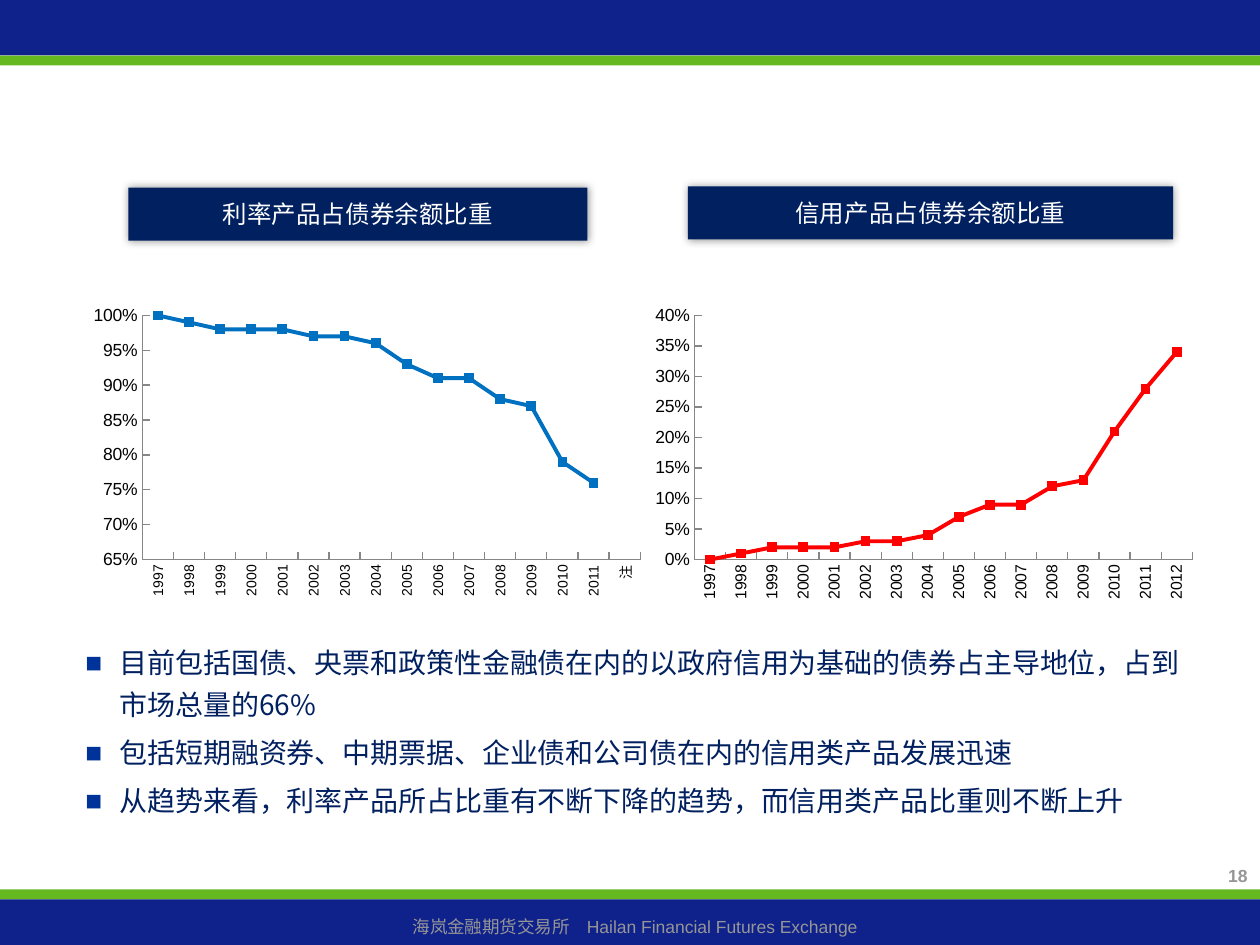
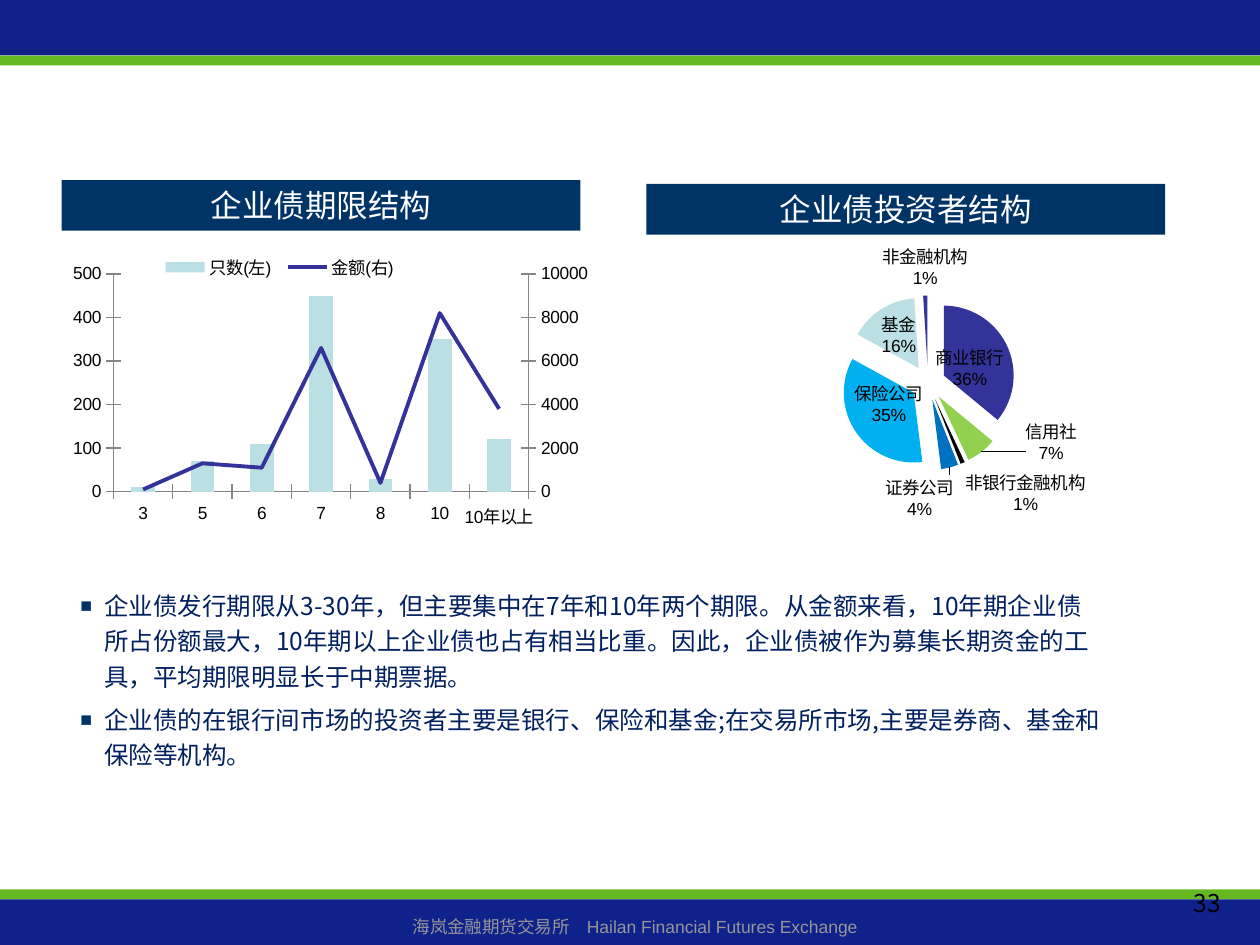
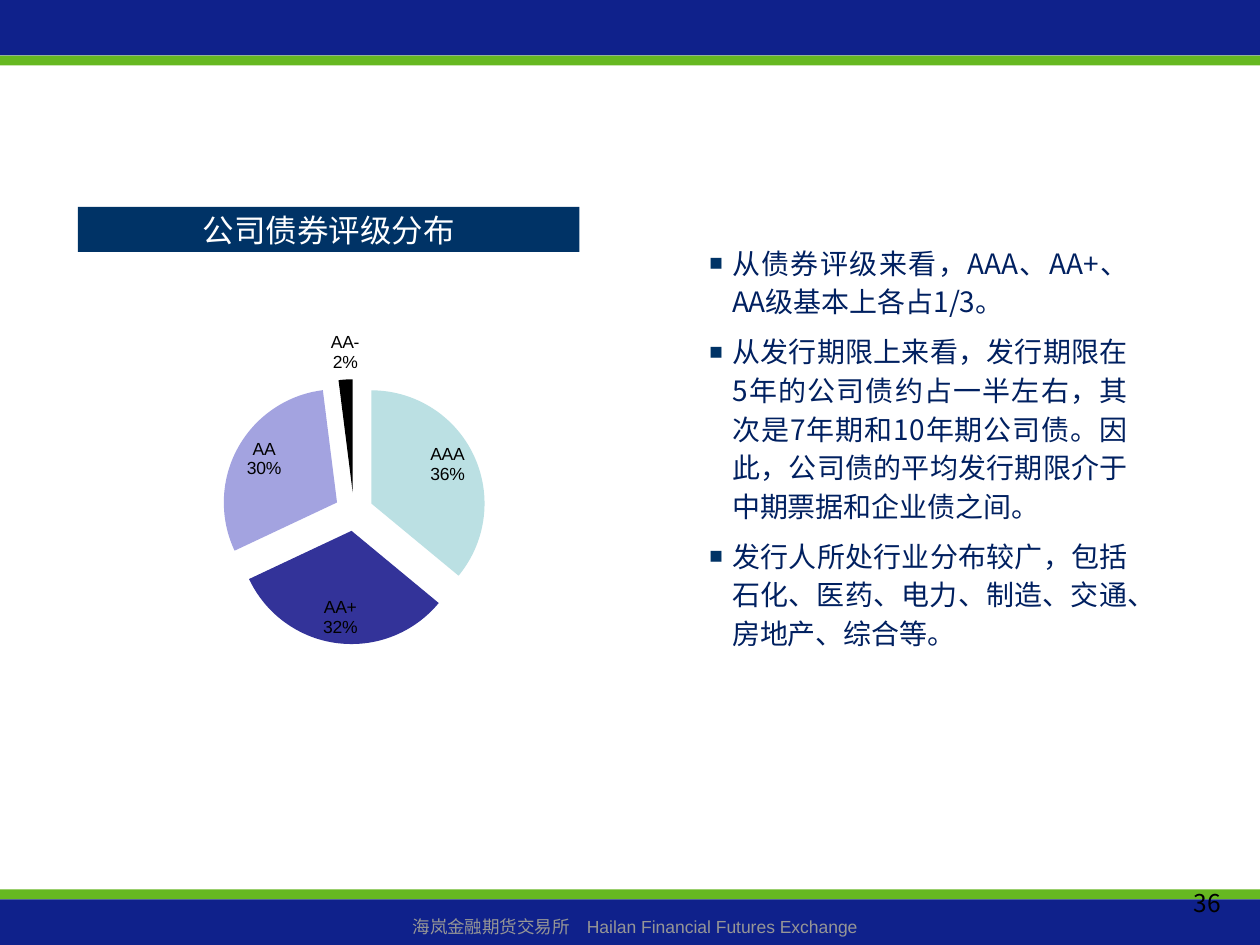
from pptx import Presentation
from pptx.chart.data import CategoryChartData as Data
from pptx.dml.color import RGBColor
from pptx.enum.chart import XL_CHART_TYPE as Kind
from pptx.enum.chart import XL_LABEL_POSITION as Spot
from pptx.enum.chart import XL_LEGEND_POSITION as Side
from pptx.enum.chart import XL_MARKER_STYLE as Mark
from pptx.enum.chart import XL_TICK_MARK as Tick
from pptx.enum.shapes import MSO_SHAPE as Form
from pptx.enum.text import MSO_ANCHOR as Anchor
from pptx.enum.text import MSO_AUTO_SIZE as Fit
from pptx.enum.text import PP_ALIGN as Align
from pptx.oxml import parse_xml
from pptx.oxml.ns import nsdecls, qn
from pptx.util import Cm, Pt

NAVY, GREEN, INK, STEEL = "0F218B", "66B821", "002060", "003366"
BLUE, GRAY, WHITE, BLACK = "003399", "969696", "FFFFFF", "000000"
AQUA, VIOLET, AXIS = "BBE0E3", "333399", "868686"
HAN, LATIN = "Noto Sans CJK SC", "Arial"

RIGHT = f"""<c:plotArea {nsdecls("c", "a")}>
<c:lineChart><c:grouping val="standard"/><c:varyColors val="0"/>
<c:marker val="1"/><c:axId val="11"/><c:axId val="12"/></c:lineChart>
<c:catAx><c:axId val="11"/><c:scaling><c:orientation val="minMax"/></c:scaling>
<c:delete val="1"/><c:axPos val="b"/><c:crossAx val="12"/></c:catAx>
<c:valAx><c:axId val="12"/><c:scaling><c:orientation val="minMax"/>
<c:max val="10000"/><c:min val="0"/></c:scaling>
<c:delete val="0"/><c:axPos val="r"/><c:numFmt formatCode="General" sourceLinked="0"/>
<c:majorTickMark val="cross"/><c:minorTickMark val="none"/><c:tickLblPos val="nextTo"/>
<c:spPr><a:ln><a:solidFill><a:srgbClr val="{AXIS}"/></a:solidFill></a:ln></c:spPr>
<c:crossAx val="11"/><c:crosses val="max"/><c:majorUnit val="2000"/></c:valAx>
</c:plotArea>"""


def tint(code):
    return RGBColor.from_string(code)


def put(item, values):
    for name, value in values.items():
        setattr(item, name, value)


def node(tag, inner="", **attrs):
    pairs = "".join(f' {key}="{value}"' for key, value in attrs.items())
    return parse_xml(f"<{tag} {nsdecls('a', 'c')}{pairs}>{inner}</{tag}>")


def place(parent, index, box, inner=False):
    for old in parent.findall(qn("c:layout")):
        parent.remove(old)
    target = '<c:layoutTarget val="inner"/>' if inner else ""
    modes = '<c:xMode val="edge"/><c:yMode val="edge"/>'
    sizes = "".join(f'<c:{key} val="{value}"/>' for key, value in zip("xywh", box))
    layout = f"<c:manualLayout>{target}{modes}{sizes}</c:manualLayout>"
    parent.insert(index, node("c:layout", layout))


class Deck:
    def __init__(self):
        self.show = Presentation()
        put(self.show, {"slide_width": Cm(25.4), "slide_height": Cm(19.05)})
        self.base = self.show.slide_layouts[1]
        self.slide = None

    def page(self, number, box, **style):
        first = self.slide is None
        self.slide = self.show.slides.add_slide(self.base)
        if first:
            self.frame()
        self.label(str(number), box, align=Align.RIGHT, **style)

    def frame(self):
        bands = [(0, 1.12, NAVY), (17.93, 0.2, GREEN), (1.12, 0.2, GREEN), (18.13, 0.92, NAVY)]
        parts = [self.block((0, top, 25.4, high), fill) for top, high, fill in bands]
        parts.append(self.label("海岚金融期货交易所　Hailan Financial Futures Exchange",
                                (0.2, 18.34, 25.2, 0.69), align=Align.CENTER,
                                size=10, color=GRAY, font=LATIN))
        for part in parts:
            self.base.shapes.element.append(part.element)

    def block(self, box, fill):
        shape = self.slide.shapes.add_shape(Form.RECTANGLE, *map(Cm, box))
        self.paint(shape, fill)
        return shape

    def paint(self, shape, fill):
        shape.shadow.inherit = False
        shape.fill.solid()
        shape.fill.fore_color.rgb = tint(fill)
        shape.line.fill.background()

    def move(self, shape, box):
        put(shape, dict(zip(("left", "top", "width", "height"), map(Cm, box))))

    def setup(self, shape, anchor):
        frame = shape.text_frame
        put(frame, {"word_wrap": True, "auto_size": Fit.NONE, "vertical_anchor": anchor,
                    "margin_left": Cm(0.25), "margin_right": Cm(0.25),
                    "margin_top": Cm(0.12), "margin_bottom": Cm(0.12)})
        return frame

    def say(self, para, text, size, color, font=HAN, bold=False):
        run = para.add_run()
        run.text = text
        put(run.font, {"name": font, "size": Pt(size), "bold": bold})
        run.font.color.rgb = tint(color)
        run.font._element.append(node("a:ea", typeface=HAN))

    def label(self, text, box, align, **style):
        shape = self.slide.shapes.add_textbox(*map(Cm, box))
        para = self.setup(shape, Anchor.TOP).paragraphs[0]
        para.alignment = align
        self.say(para, text, **style)
        return shape

    def head(self, text, box, fill=STEEL, size=18, main=False, glow=False):
        if main:
            shape = self.slide.shapes.title
            self.move(shape, box)
            self.paint(shape, fill)
        else:
            shape = self.block(box, fill)
        if glow:
            shade = f'<a:srgbClr val="{BLACK}"><a:alpha val="40000"/></a:srgbClr>'
            effects = shape.element.spPr.find(qn("a:effectLst"))
            effects.append(node("a:outerShdw", shade, blurRad=Pt(5), dist=0, dir=0))
        para = self.setup(shape, Anchor.MIDDLE).paragraphs[0]
        para.alignment = Align.CENTER
        self.say(para, text, size, WHITE)

    def points(self, items, box, size, lead, gap, indent=0.46, mark=STEEL, scale=80,
               align=Align.LEFT, anchor=Anchor.TOP):
        shape = self.slide.placeholders[1]
        self.move(shape, box)
        frame = self.setup(shape, anchor)
        for index, text in enumerate(items):
            para = frame.add_paragraph() if index else frame.paragraphs[0]
            put(para, {"alignment": align, "line_spacing": lead,
                       "space_before": Pt(gap if index else 0), "space_after": Pt(0)})
            props = para._p.get_or_add_pPr()
            props.set("marL", str(Cm(indent)))
            props.set("indent", str(-Cm(indent)))
            props.append(node("a:buClr", f'<a:srgbClr val="{mark}"/>'))
            props.append(node("a:buSzPct", val=scale * 1000))
            props.append(node("a:buFont", typeface=LATIN))
            props.append(node("a:buChar", char="■"))
            self.say(para, text, size, INK)

    def chart(self, kind, box, cats, plot, **series):
        data = Data()
        data.categories = cats
        for name, values in series.items():
            data.add_series(name, values)
        chart = self.slide.shapes.add_chart(kind, *map(Cm, box), data).chart
        put(chart, {"has_title": False, "has_legend": False})
        put(chart.font, {"name": LATIN, "size": Pt(10)})
        chart.font.color.rgb = tint(BLACK)
        chart.plots[0].vary_by_categories = False
        place(chart.element.xpath(".//c:plotArea")[0], 0, plot, True)
        return chart

    def axes(self, chart, tick, form, **scale):
        for axis in (chart.category_axis, chart.value_axis):
            put(axis, {"has_major_gridlines": False, "major_tick_mark": tick})
            axis.format.line.color.rgb = tint(AXIS)
        put(chart.value_axis, scale)
        put(chart.value_axis.tick_labels, {"number_format": form, "number_format_is_linked": False})

    def stroke(self, line, color):
        line.smooth = False
        line.format.line.width = Pt(2.25)
        line.format.line.color.rgb = tint(color)

    def trend(self, box, cats, values, color, size, **scale):
        chart = self.chart(Kind.LINE_MARKERS, box, cats, (0.11, 0.06, 0.85, 0.76), 比重=values)
        self.axes(chart, Tick.INSIDE, "0%", major_unit=0.05, **scale)
        chart.category_axis.tick_labels.font.size = Pt(size)
        turn = chart.element.xpath(".//c:catAx/c:txPr/a:bodyPr")[0]
        turn.set("rot", "-5400000")
        turn.set("vert", "horz")
        line = chart.plots[0].series[0]
        self.stroke(line, color)
        put(line.marker, {"style": Mark.SQUARE, "size": 5})
        line.marker.format.fill.solid()
        line.marker.format.fill.fore_color.rgb = tint(color)
        line.marker.format.line.color.rgb = tint(color)

    def combo(self, box, cats, plot, **series):
        chart = self.chart(Kind.COLUMN_CLUSTERED, box, cats, plot, **series)
        self.axes(chart, Tick.CROSS, "#,##0", minimum_scale=0, maximum_scale=500, major_unit=100)
        chart.plots[0].gap_width = 150
        bars, other = chart.plots[0].series
        bars.format.fill.solid()
        bars.format.fill.fore_color.rgb = tint(AQUA)
        ser = other._element
        for flag in ser.findall(qn("c:invertIfNegative")):
            ser.remove(flag)
        lines, cat, val = parse_xml(RIGHT)
        lines.insert(2, ser)
        area = chart.element.xpath(".//c:plotArea")[0]
        area.find(qn("c:barChart")).addnext(lines)
        last = area.find(qn("c:valAx"))
        last.addnext(val)
        last.addnext(cat)
        line = chart.plots[1].series[0]
        self.stroke(line, VIOLET)
        line.marker.style = Mark.NONE
        chart.has_legend = True
        put(chart.legend, {"position": Side.RIGHT, "include_in_layout": False})
        place(chart.legend._element, 1, (0.18, 0.06, 0.48, 0.08))

    def pie(self, box, cats, plot, values, colors, burst):
        chart = self.chart(Kind.PIE, box, cats, plot, 占比=values)
        chart.plots[0].vary_by_categories = True
        pie = chart.plots[0].series[0]
        pie._element.find(qn("c:tx")).addnext(node("c:explosion", val=burst))
        for index, color in enumerate(colors):
            fill = pie.points[index].format.fill
            fill.solid()
            fill.fore_color.rgb = tint(color)
        labels = pie.data_labels
        put(labels, {"show_value": False, "show_percentage": True, "show_category_name": True,
                     "number_format": "0%", "number_format_is_linked": False,
                     "position": Spot.BEST_FIT})
        last = labels._element.find(qn("c:showBubbleSize"))
        last.addnext(node("c:separator", "\n"))


def main():
    deck = Deck()
    years = [str(year) for year in range(1997, 2013)]
    corner = (18.95, 17.78, 5.92, 0.89)
    plain = {"size": 14, "color": BLACK}

    deck.page(18, (20.4, 17.32, 5, 0.91), size=10, color=GRAY, font=LATIN, bold=True)
    dark = {"fill": INK, "size": 14, "glow": True}
    deck.head("利率产品占债券余额比重", (2.59, 3.78, 9.25, 1.07), main=True, **dark)
    deck.head("信用产品占债券余额比重", (13.87, 3.76, 9.78, 1.07), **dark)
    deck.trend((12.7, 5.97, 11.81, 6.48), years,
               [0, 0.01, 0.02, 0.02, 0.02, 0.03, 0.03, 0.04,
                0.07, 0.09, 0.09, 0.12, 0.13, 0.21, 0.28, 0.34],
               "FF0000", 9, minimum_scale=0, maximum_scale=0.4)
    deck.trend((1.57, 5.97, 11.81, 6.48), years[:-1] + ["注"],
               [1, 0.99, 0.98, 0.98, 0.98, 0.97, 0.97, 0.96,
                0.93, 0.91, 0.91, 0.88, 0.87, 0.79, 0.76, None],
               "0070C0", 8, minimum_scale=0.65, maximum_scale=1)
    deck.points(["目前包括国债、央票和政策性金融债在内的以政府信用为基础的债券占主导地位，占到市场总量的66%",
                 "包括短期融资券、中期票据、企业债和公司债在内的信用类产品发展迅速",
                 "从趋势来看，利率产品所占比重有不断下降的趋势，而信用类产品比重则不断上升"],
                (1.47, 12.73, 22.76, 3.96), 16, 1.25, 3.5, indent=0.69, mark=BLUE, scale=100)

    deck.page(33, corner, **plain)
    deck.head("企业债期限结构", (1.24, 3.63, 10.46, 1.02), main=True)
    deck.head("企业债投资者结构", (13.03, 3.71, 10.46, 1.02))
    deck.combo((1.24, 4.7, 10.62, 6.86), ["3", "5", "6", "7", "8", "10", "10年以上"],
               (0.1, 0.12, 0.8, 0.64),
               **{"只数(左)": [10, 70, 110, 450, 30, 350, 120],
                  "金额(右)": [100, 1300, 1100, 6600, 400, 8200, 3800]})
    deck.pie((12.7, 4.52, 12.14, 6.81),
             ["特殊结算成员", "商业银行", "信用社", "非银行金融机构",
              "证券公司", "保险公司", "基金", "非金融机构"],
             (0.35, 0.2, 0.29, 0.54), [0, 36, 7, 1, 4, 35, 16, 1],
             [AQUA, VIOLET, "92D050", BLACK, "0070C0", "00B0F0", AQUA, VIOLET], 25)
    deck.points(["企业债发行期限从3-30年，但主要集中在7年和10年两个期限。从金额来看，10年期企业债所占份额最大，"
                 "10年期以上企业债也占有相当比重。因此，企业债被作为募集长期资金的工具，平均期限明显长于中期票据。",
                 "企业债的在银行间市场的投资者主要是银行、保险和基金;在交易所市场,主要是券商、基金和保险等机构。"],
                (1.37, 11.68, 21.18, 5.21), 14, 1.2, 4.5, indent=0.48)

    deck.page(36, corner, **plain)
    deck.head("公司债券评级分布", (1.57, 4.17, 10.11, 0.91), main=True)
    deck.pie((1.57, 6.32, 11.13, 7.14), ["AAA", "AA+", "AA", "AA-"],
             (0.26, 0.17, 0.48, 0.78), [36, 32, 30, 2],
             [AQUA, VIOLET, "A3A3E0", BLACK], 17)
    deck.points(["从债券评级来看，AAA、AA+、AA级基本上各占1/3。",
                 "从发行期限上来看，发行期限在5年的公司债约占一半左右，其次是7年期和10年期公司债。"
                 "因此，公司债的平均发行期限介于中期票据和企业债之间。",
                 "发行人所处行业分布较广，包括石化、医药、电力、制造、交通、房地产、综合等。"],
                (14.05, 4.17, 8.94, 9.63), 16, 1.15, 6.5,
                align=Align.JUSTIFY, anchor=Anchor.MIDDLE)
    deck.show.save("out.pptx")


if __name__ == "__main__":
    main()
